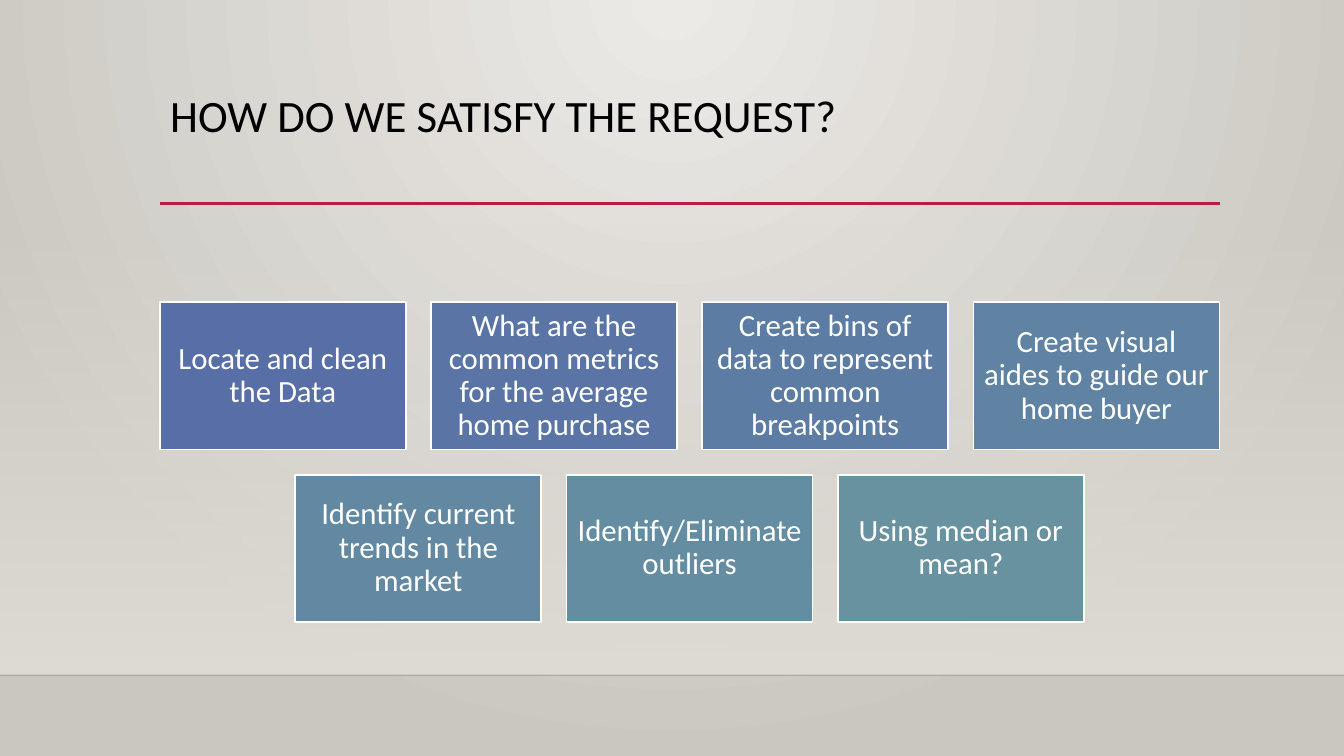
import pptx
import pptx.dml.color
import pptx.enum.shapes
import pptx.enum.text
import pptx.oxml
import pptx.oxml.ns
import pptx.util
from lxml import etree

Inches = pptx.util.Inches
Pt = pptx.util.Pt
qn = pptx.oxml.ns.qn

COLORS = {
    "backdrop_center": "ECEAE7",
    "backdrop_edge": "CAC7C1",
    "wall": "DFDBD5",
    "floor_line": "000001",
    "accent": "B71E42",
    "title": "000000",
    "white": "FFFFFF",
    "step_1": "586EA6",
    "step_2": "5A75A5",
    "step_3": "5D7CA4",
    "step_4": "6083A3",
    "step_5": "6388A2",
    "step_6": "658DA1",
    "step_7": "6892A0",
}
STEP_ROWS = [
    [
        "Locate and clean the Data",
        "What are the common metrics for the average home purchase",
        "Create bins of data to represent common breakpoints",
        "Create visual aides to guide our home buyer",
    ],
    [
        "Identify current trends in the market",
        "Identify/Eliminate outliers",
        "Using median or mean?",
    ],
]
BOX_WIDTH, BOX_HEIGHT, GAP = 2.44, 1.46, 0.25
ROWS_TOP, ROWS_CENTER = 3, 6.84


def rgb(name):
    return pptx.dml.color.RGBColor.from_string(COLORS[name])


def write_text(shape, text, size, color, alignment, anchor, inset):
    frame = shape.text_frame
    frame_format = {
        "word_wrap": True,
        "vertical_anchor": anchor,
        "margin_left": inset,
        "margin_right": inset,
    }
    for name, value in frame_format.items():
        setattr(frame, name, value)
    paragraph = frame.paragraphs[0]
    paragraph.text = text
    paragraph.alignment = alignment
    paragraph.line_spacing = 0.9
    font = paragraph.runs[0].font
    for name, value in {"name": "Calibri", "size": Pt(size)}.items():
        setattr(font, name, value)
    font.color.rgb = rgb(color)


presentation = pptx.Presentation()
presentation.slide_width = Inches(13.33)
presentation.slide_height = Inches(7.5)
slide = presentation.slides.add_slide(presentation.slide_layouts[6])

backdrop = slide.background.fill
backdrop.gradient()
for stop, color in zip(backdrop.gradient_stops, ["backdrop_center", "backdrop_edge"]):
    stop.color.rgb = rgb(color)
gradient = slide.element.xpath(".//p:bg//a:gradFill")[0]
gradient.remove(gradient.find(qn("a:lin")))
circle = etree.SubElement(gradient, qn("a:path"), {"path": "circle"})
center = {"l": "43000", "t": "0", "r": "43000", "b": "100000"}
etree.SubElement(circle, qn("a:fillToRect"), center)

wall = slide.shapes.add_shape(
    pptx.enum.shapes.MSO_SHAPE.RECTANGLE,
    Inches(0), Inches(2.21), Inches(13.33), Inches(4.49),
)
wall.shadow.inherit = False
wall.line.fill.background()
wall.fill.gradient()
wall.fill.gradient_angle = 270
for stop in wall.fill.gradient_stops:
    stop.color.rgb = rgb("wall")
clear_color = wall.element.xpath(".//a:gs/a:srgbClr")[0]
etree.SubElement(clear_color, qn("a:alpha"), {"val": "0"})

rules = [
    (0, 13.33, 6.7, "floor_line", 1, 20),
    (1.59, 12.1, 2.02, "accent", 2.5, 100),
]
for left, right, top, color, width, opacity in rules:
    rule = slide.shapes.add_connector(
        pptx.enum.shapes.MSO_CONNECTOR.STRAIGHT,
        Inches(left), Inches(top), Inches(right), Inches(top),
    )
    rule.line.width = Pt(width)
    rule.line.color.rgb = rgb(color)
    if opacity < 100:
        line_color = rule.element.xpath(".//a:ln//a:srgbClr")[0]
        etree.SubElement(line_color, qn("a:alpha"), {"val": str(opacity * 1000)})
    etree.SubElement(rule.element.spPr, qn("a:effectLst"))

title = slide.shapes.add_textbox(Inches(1.59), Inches(0.88), Inches(10.5), Inches(1.15))
write_text(
    title, "HOW DO WE SATISFY THE REQUEST?", 32, "title",
    pptx.enum.text.PP_ALIGN.LEFT, pptx.enum.text.MSO_ANCHOR.TOP, Inches(0.1),
)

step = 0
for row, labels in enumerate(STEP_ROWS):
    row_width = len(labels) * (BOX_WIDTH + GAP) - GAP
    row_left = ROWS_CENTER - row_width / 2
    top = ROWS_TOP + row * (BOX_HEIGHT + GAP)
    for column, label in enumerate(labels):
        step += 1
        left = row_left + column * (BOX_WIDTH + GAP)
        box = slide.shapes.add_shape(
            pptx.enum.shapes.MSO_SHAPE.RECTANGLE,
            Inches(left), Inches(top), Inches(BOX_WIDTH), Inches(BOX_HEIGHT),
        )
        box.shadow.inherit = False
        box.fill.solid()
        box.fill.fore_color.rgb = rgb(f"step_{step}")
        box.line.color.rgb = rgb("white")
        box.line.width = Pt(1.25)
        write_text(
            box, label, 22, "white",
            pptx.enum.text.PP_ALIGN.CENTER, pptx.enum.text.MSO_ANCHOR.MIDDLE, Inches(0.09),
        )

presentation.save("out.pptx")
